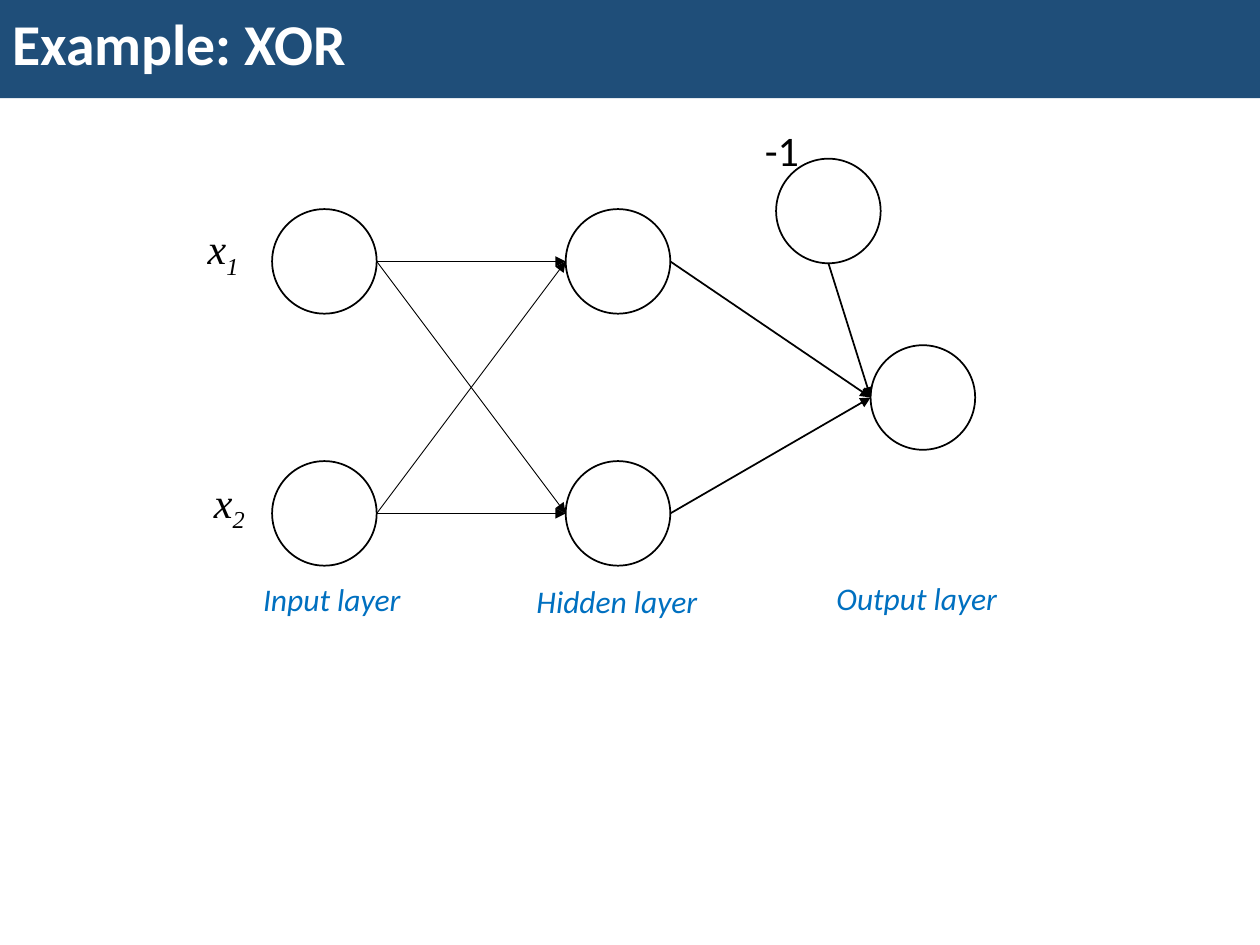
from pptx import Presentation
from pptx.dml.color import RGBColor
from pptx.enum.shapes import MSO_CONNECTOR, MSO_SHAPE
from pptx.enum.text import MSO_ANCHOR, MSO_AUTO_SIZE, PP_ALIGN
from pptx.oxml.ns import qn
from pptx.util import Inches, Pt
from lxml.etree import SubElement

THEME = {
    "banner": "1F4E79", "white": "FFFFFF", "ink": "000000", "accent": "0070C0",
    "sans": "Calibri", "serif": "Times New Roman",
    "title_size": 33, "symbol_size": 24, "layer_size": 18,
}
TITLE = "Example: XOR"
DIAMETER = 0.83
INPUT_X, HIDDEN_X = 2.16, 4.49
TOP_Y, BOTTOM_Y = 1.66, 3.66
NEURONS = {
    "x1": (INPUT_X, TOP_Y), "x2": (INPUT_X, BOTTOM_Y),
    "h1": (HIDDEN_X, TOP_Y), "h2": (HIDDEN_X, BOTTOM_Y),
    "output": (6.91, 2.74), "bias": (6.16, 1.26),
}
WEIGHTS = [
    ("x1", "h1", 0.5), ("x1", "h2", 0.5), ("x2", "h1", 0.5), ("x2", "h2", 1),
    ("h1", "output", 1), ("h2", "output", 1), ("bias", "output", 1),
]
INPUT_SYMBOLS = [("x", "1", (1.55, 1.72, 0.83, 0.5)), ("x", "2", (1.6, 3.73, 0.83, 0.5))]
BIAS_VALUE = ("-1", (6.07, 0.99, 0.53, 0.4))
LAYERS = [
    ("Input layer", (1.99, 4.55, 1.33, 0.42)),
    ("Hidden layer", (4.16, 4.57, 1.83, 0.4)),
    ("Output layer", (6.54, 4.55, 1.67, 0.4)),
]


def color(role):
    return RGBColor.from_string(THEME[role])


def write(frame, text, *, size, ink="ink", face="sans", bold=False, italic=False, subscript=""):
    paragraph = frame.paragraphs[0]
    paragraph.alignment = PP_ALIGN.LEFT
    for part in filter(None, (text, subscript)):
        run = paragraph.add_run()
        run.text = part
        run.font.size = Pt(THEME[size])
        run.font.name = THEME[face]
        run.font.color.rgb = color(ink)
        run.font.bold, run.font.italic = bold, italic
    if subscript:
        run.font._element.set("baseline", "-25000")
    return paragraph


def add_label(slide, text, box, inset=None, **style):
    frame = slide.shapes.add_textbox(*map(Inches, box)).text_frame
    frame.word_wrap = True
    frame.auto_size = MSO_AUTO_SIZE.SHAPE_TO_FIT_TEXT
    if inset is not None:
        frame.margin_left = frame.margin_right = Inches(inset)
        frame.margin_top = frame.margin_bottom = Inches(inset)
    write(frame, text, **style)


def add_title(slide):
    banner = slide.shapes.title
    banner.left, banner.top = Inches(0), Inches(-0.04)
    banner.width, banner.height = Inches(10), Inches(0.82)
    banner.fill.solid()
    banner.fill.fore_color.rgb = color("banner")
    frame = banner.text_frame
    frame.auto_size = MSO_AUTO_SIZE.NONE
    frame.vertical_anchor = MSO_ANCHOR.MIDDLE
    write(frame, TITLE, size="title_size", ink="white", bold=True).line_spacing = 0.9


def add_neuron(slide, corner):
    neuron = slide.shapes.add_shape(
        MSO_SHAPE.OVAL, *map(Inches, (*corner, DIAMETER, DIAMETER)))
    neuron.shadow.inherit = False
    neuron.fill.solid()
    neuron.fill.fore_color.rgb = color("white")
    neuron.line.color.rgb = color("ink")
    neuron.line.width = Pt(1)


def add_weight(slide, source, target, width):
    radius = DIAMETER / 2
    x, y = NEURONS[source]
    start = (x + radius, y + DIAMETER) if source == "bias" else (x + DIAMETER, y + radius)
    end_x, end_y = NEURONS[target]
    arrow = slide.shapes.add_connector(
        MSO_CONNECTOR.STRAIGHT, *map(Inches, (*start, end_x, end_y + radius)))
    arrow.line.color.rgb = color("ink")
    arrow.line.width = Pt(width)
    SubElement(arrow.line._get_or_add_ln(), qn("a:tailEnd"), type="triangle")
    SubElement(arrow._element.spPr, qn("a:effectLst"))


def main():
    deck = Presentation()
    deck.slide_width, deck.slide_height = Inches(10), Inches(7.5)
    slide = deck.slides.add_slide(deck.slide_layouts[5])
    add_title(slide)
    for corner in NEURONS.values():
        add_neuron(slide, corner)
    for source, target, width in WEIGHTS:
        add_weight(slide, source, target, width)
    for symbol, index, box in INPUT_SYMBOLS:
        add_label(slide, symbol, box, size="symbol_size", face="serif",
                  italic=True, subscript=index)
    add_label(slide, *BIAS_VALUE, inset=0, size="symbol_size")
    for name, box in LAYERS:
        add_label(slide, name, box, size="layer_size", ink="accent", italic=True)
    deck.save("out.pptx")


if __name__ == "__main__":
    main()
